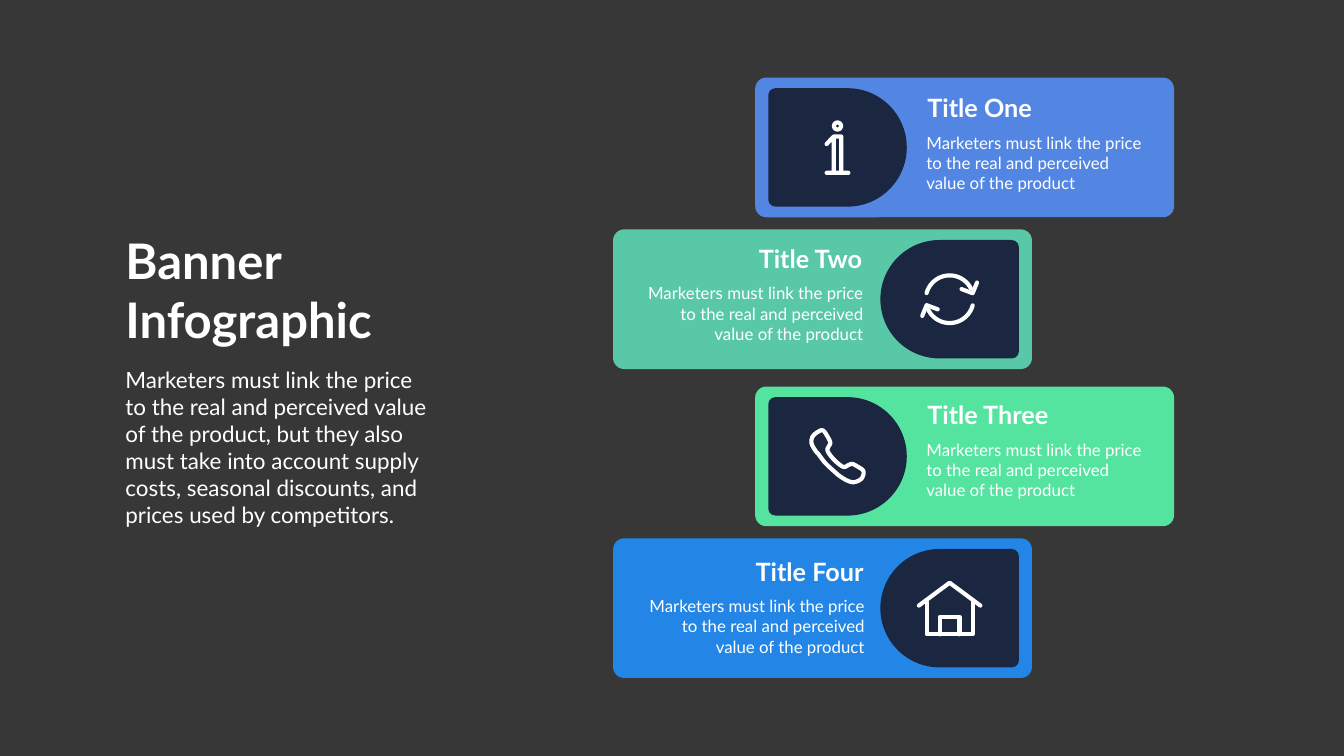
import math

import lxml.etree
import pptx
import pptx.dml.color
import pptx.enum.shapes
import pptx.enum.text
import pptx.oxml.ns
import pptx.util

Cm = pptx.util.Cm
RGB = pptx.dml.color.RGBColor
SHAPES = pptx.enum.shapes.MSO_SHAPE
ALIGN = pptx.enum.text.PP_ALIGN

BACKGROUND = RGB(0x37, 0x37, 0x37)
NAVY = RGB(0x1B, 0x26, 0x41)
HEADING_WHITE = RGB(0xFE, 0xFF, 0xFF)
WHITE = RGB(0xFF, 0xFF, 0xFF)
BLUE = RGB(0x53, 0x86, 0xE3)
TEAL = RGB(0x59, 0xC8, 0xA6)
GREEN = RGB(0x54, 0xE4, 0x9F)
AZURE = RGB(0x23, 0x86, 0xE7)

# Content
HEADING = ["Banner", "Infographic"]
INTRO = ("Marketers must link the price to the real and perceived value of the "
         "product, but they also must take into account supply costs, seasonal "
         "discounts, and prices used by competitors.")
BANNER_TEXT = "Marketers must link the price to the real and perceived value of the product"

# Positions in cm; text_edge is the side of the title box the text aligns to
BANNERS = [
    dict(title="Title One", color=BLUE, top=3.91, tab="left", icon="info",
         text_edge=46.48, text_top=4.52, title_width=6.53),
    dict(title="Title Two", color=TEAL, top=11.56, tab="right", icon="refresh",
         text_edge=43.69, text_top=12.12, title_width=6.53),
    dict(title="Title Three", color=GREEN, top=19.48, tab="left", icon="phone",
         text_edge=46.48, text_top=19.99, title_width=7.06),
    dict(title="Title Four", color=AZURE, top=27.13, tab="right", icon="house",
         text_edge=43.76, text_top=27.89, title_width=6.53),
]
BANNER_LEFT = {"left": 38.05, "right": 30.89}
BANNER_WIDTH, BANNER_HEIGHT = 21.11, 7.04
TAB_WIDTH, TAB_HEIGHT = 6.98, 5.97
TAB_MARGIN = 0.66
BODY_WIDTH, BODY_DROP = 11.51, 2.02


def arc(radius, start, end, step=3):
    return [(radius * math.cos(math.radians(a)), radius * math.sin(math.radians(a)))
            for a in range(start, end + 1, step)]


def smooth_loop(knots, steps=6):
    """Closed Catmull-Rom curve through the knots."""
    curve = []
    for i in range(len(knots)):
        p0, p1, p2, p3 = (knots[(i + k) % len(knots)] for k in (-1, 0, 1, 2))
        for t in (s / steps for s in range(steps)):
            curve.append(tuple(
                b + 0.5 * t * (c - a + t * (2 * a - 5 * b + 4 * c - d
                                            + t * (3 * (b - c) + d - a)))
                for a, b, c, d in zip(p0, p1, p2, p3)))
    return curve


# Icon strokes in cm from the centre of the tab: (points, closed)
RECEIVER = [(-0.72, -1.3), (-0.93, -1.27), (-1.24, -1.02), (-1.31, -0.67),
            (-1.12, -0.3), (-0.95, -0.1), (-0.61, 0.34), (-0.06, 0.85),
            (0.11, 0.99), (0.47, 1.21), (0.83, 1.3), (1.21, 1.12), (1.31, 0.75),
            (1.04, 0.53), (0.74, 0.38), (0.55, 0.44), (0.3, 0.53), (-0.09, 0.25),
            (-0.39, -0.09), (-0.51, -0.33), (-0.44, -0.51), (-0.36, -0.7),
            (-0.52, -1.03)]
HALF_TURN = [arc(1.2, 195, 333), [(0.6, -0.51), (1.16, -0.3), (1.38, -0.84)]]
ICONS = {
    "info": [([(-0.55, -0.17), (-0.19, -0.55), (0.19, -0.55), (0.19, 1.28),
               (0.55, 1.28), (-0.55, 1.28), (-0.19, 1.28), (-0.19, -0.55)], False)],
    "refresh": [([(sign * x, sign * y) for x, y in stroke], False)
                for sign in (1, -1) for stroke in HALF_TURN],
    "phone": [(smooth_loop(RECEIVER), True)],
    "house": [([(-1.55, -0.13), (0, -1.28), (1.55, -0.13)], False),
              ([(-1.16, -0.3), (-1.16, 1.32), (1.16, 1.32), (1.16, -0.3)], False),
              ([(-0.5, 1.32), (-0.5, 0.44), (0.5, 0.44), (0.5, 1.32)], False)],
}
INFO_DOT_Y, INFO_DOT_RADIUS = -1.08, 0.18

deck = pptx.Presentation()
deck.slide_width, deck.slide_height = Cm(67.72), Cm(38.1)
slide = deck.slides.add_slide(deck.slide_layouts[6])
slide.background.fill.solid()
slide.background.fill.fore_color.rgb = BACKGROUND


def add_panel(preset, left, top, width, height, color, corners, rotation=0):
    panel = slide.shapes.add_shape(preset, Cm(left), Cm(top), Cm(width), Cm(height))
    panel.shadow.inherit = False
    panel.fill.solid()
    panel.fill.fore_color.rgb = color
    panel.line.fill.background()
    panel.rotation = rotation
    for i, corner in enumerate(corners):
        panel.adjustments[i] = corner


def style_stroke(stroke):
    stroke.shadow.inherit = False
    stroke.fill.background()
    stroke.line.color.rgb = WHITE
    stroke.line.width = Cm(0.21)
    outline = stroke.line._get_or_add_ln()
    outline.set("cap", "rnd")
    lxml.etree.SubElement(outline, pptx.oxml.ns.qn("a:round"))


def add_icon(icon, center_x, center_y):
    for points, closed in ICONS[icon]:
        placed = [(Cm(center_x + x), Cm(center_y + y)) for x, y in points]
        builder = slide.shapes.build_freeform(*placed[0])
        builder.add_line_segments(placed[1:], close=closed)
        style_stroke(builder.convert_to_shape())
    if icon == "info":
        size = Cm(2 * INFO_DOT_RADIUS)
        style_stroke(slide.shapes.add_shape(
            SHAPES.OVAL, Cm(center_x - INFO_DOT_RADIUS),
            Cm(center_y + INFO_DOT_Y - INFO_DOT_RADIUS), size, size))


def add_text(lines, left, top, width, height, size, color=WHITE, bold=False,
             align=ALIGN.LEFT, wrap=True):
    frame = slide.shapes.add_textbox(Cm(left), Cm(top), Cm(width), Cm(height)).text_frame
    frame.word_wrap = wrap
    frame.text = "\n".join(lines)
    font_format = dict(name="Lato", size=pptx.util.Pt(size), bold=bold)
    for paragraph in frame.paragraphs:
        paragraph.alignment = align
        for run in paragraph.runs:
            for attribute, value in font_format.items():
                setattr(run.font, attribute, value)
            run.font.color.rgb = color


# Heading and introduction
add_text(HEADING, 6.07, 11.48, 13.26, 6.25, 70, HEADING_WHITE, bold=True, wrap=False)
add_text([INTRO], 6.07, 18.34, 15.95, 8.46, 32, HEADING_WHITE)

# Banners, with the icon tab on alternating sides
for banner in BANNERS:
    tab_on_left = banner["tab"] == "left"
    left, top = BANNER_LEFT[banner["tab"]], banner["top"]
    add_panel(SHAPES.ROUNDED_RECTANGLE, left, top, BANNER_WIDTH, BANNER_HEIGHT,
              banner["color"], [0.08])

    # The tab is an upright arch turned on its side
    inset = TAB_MARGIN + TAB_WIDTH / 2
    center_x = left + (inset if tab_on_left else BANNER_WIDTH - inset)
    center_y = top + BANNER_HEIGHT / 2
    add_panel(SHAPES.ROUND_2_SAME_RECTANGLE, center_x - TAB_HEIGHT / 2,
              center_y - TAB_WIDTH / 2, TAB_HEIGHT, TAB_WIDTH, NAVY, [0.5, 0.06],
              90 if tab_on_left else 270)
    add_icon(banner["icon"], center_x, center_y)

    # Title and text share the edge next to the tab
    align = ALIGN.LEFT if tab_on_left else ALIGN.RIGHT
    edge, text_top, title_width = (banner[k] for k in ("text_edge", "text_top", "title_width"))
    title_left = edge if tab_on_left else edge - title_width
    body_left = edge - 0.05 if tab_on_left else edge + 0.05 - BODY_WIDTH
    add_text([banner["title"]], title_left, text_top, title_width, 1.8, 36,
             bold=True, align=align)
    add_text([BANNER_TEXT], body_left, text_top + BODY_DROP, BODY_WIDTH, 3.33, 24,
             align=align)

deck.save("out.pptx")
